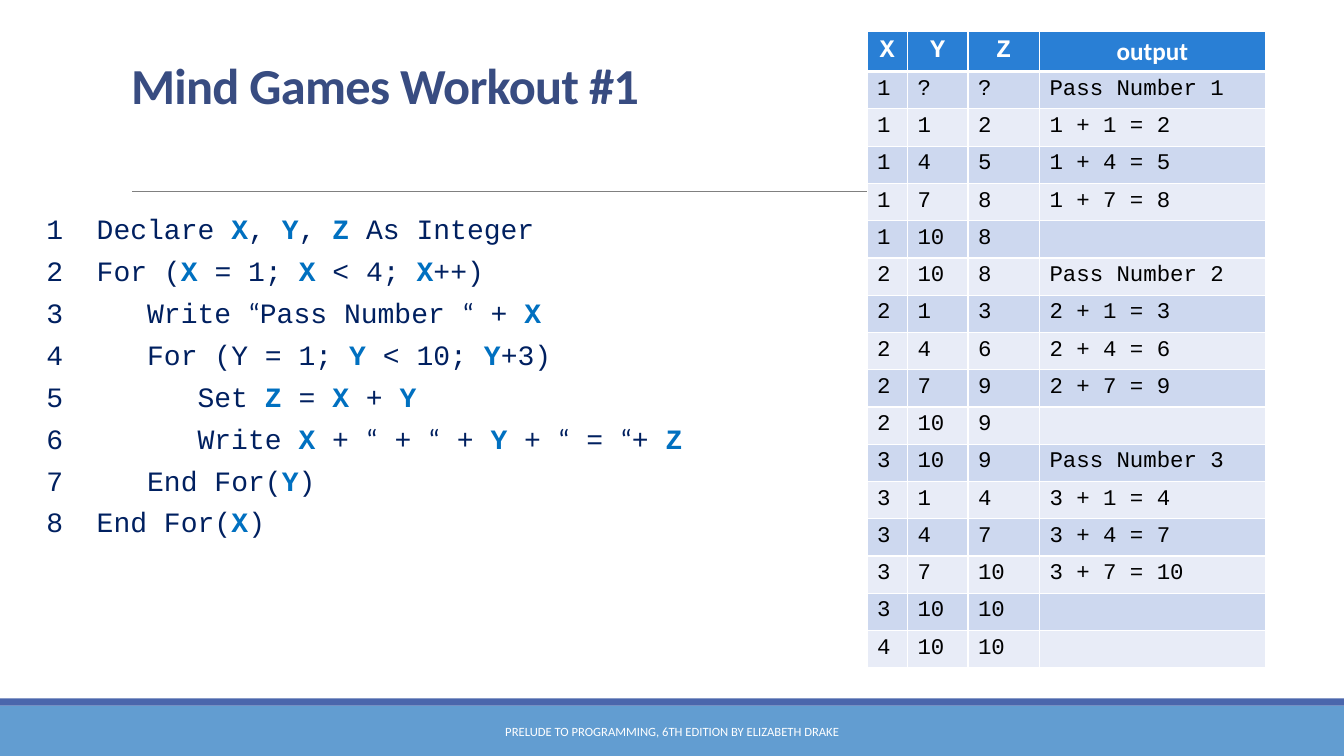
from dataclasses import dataclass
from itertools import groupby
from typing import Iterator, NamedTuple

from lxml.etree import SubElement
from pptx import Presentation
from pptx.dml.color import RGBColor as RGB
from pptx.enum.shapes import MSO_CONNECTOR as CONN, MSO_SHAPE as SHAPE
from pptx.enum.text import MSO_ANCHOR as ANCHOR, PP_ALIGN as ALIGN
from pptx.oxml.ns import qn
from pptx.util import Inches, Pt


@dataclass(frozen=True)
class Theme:
    """Colours, fonts and type sizes of the slide."""
    white: RGB = RGB(0xFF, 0xFF, 0xFF)
    black: RGB = RGB(0, 0, 0)
    footer: RGB = RGB(0x62, 0x9D, 0xD1)
    stripe: RGB = RGB(0x4A, 0x66, 0xAC)
    rule: RGB = RGB(0x80, 0x80, 0x80)
    title: RGB = RGB(0x38, 0x4C, 0x81)
    code: RGB = RGB(0x00, 0x20, 0x60)
    variable: RGB = RGB(0x00, 0x70, 0xC0)
    header: RGB = RGB(0x29, 0x7F, 0xD5)
    bands: tuple = (RGB(0xCD, 0xD8, 0xEF), RGB(0xE8, 0xEC, 0xF7))
    sans: str = "Calibri"
    mono: str = "Courier New"
    title_size: Pt = Pt(36)
    code_size: Pt = Pt(20)
    header_size: Pt = Pt(18)
    cell_size: Pt = Pt(16)
    footer_size: Pt = Pt(9)


class Box(NamedTuple):
    """Left, top, width and height in inches."""
    left: float
    top: float
    width: float
    height: float

    def emu(self) -> list:
        """Give the four lengths to python-pptx."""
        return [Inches(v) for v in self]


class CodeLine(NamedTuple):
    """One line of pseudocode; variables stand between asterisks."""
    indent: int
    text: str


class TraceRow(NamedTuple):
    """Values of the variables and what is written."""
    x: str
    y: str
    z: str
    output: str


T = Theme()
CODE = [
    CodeLine(1, "Declare *X*, *Y*, *Z* As Integer"),
    CodeLine(1, "For (*X* = 1; *X* < 4; *X*++)"),
    CodeLine(2, "Write “Pass Number “ + *X*"),
    CodeLine(2, "For (Y = 1; *Y* < 10; *Y*+3)"),
    CodeLine(3, "Set *Z* = *X* + *Y*"),
    CodeLine(3, "Write *X* + “ + “ + *Y* + “ = “+ *Z*"),
    CodeLine(2, "End For(*Y*)"),
    CodeLine(1, "End For(*X*)"),
]
HEADINGS = TraceRow("X", "Y", "Z", "output")
COLUMNS = (0.4, 0.6, 0.71, 2.24)
ROW_HEIGHT = 0.37


def trace() -> Iterator[TraceRow]:
    """Run the nested loops and yield each row of the trace."""
    y = z = "?"
    for x in range(1, 4):
        yield TraceRow(str(x), str(y), str(z), f"Pass Number {x}")
        for y in range(1, 10, 3):
            z = x + y
            yield TraceRow(str(x), str(y), str(z), f"{x} + {y} = {z}")
        y = 10
        yield TraceRow(str(x), str(y), str(z), "")
    yield TraceRow("4", str(y), str(z), "")


def style(font, name: str, size: Pt, color: RGB, bold: bool = False) -> None:
    """Set the usual properties of a font."""
    font.name, font.size, font.bold = name, size, bold
    font.color.rgb = color


def add_band(s, box: Box, color: RGB) -> None:
    """Add a plain filled rectangle."""
    sp = s.shapes.add_shape(SHAPE.RECTANGLE, *box.emu())
    sp.shadow.inherit = False
    sp.fill.solid()
    sp.fill.fore_color.rgb = color
    sp.line.fill.background()


def add_rule(s, left: float, right: float, y: float) -> None:
    """Add the thin line under the title."""
    line = s.shapes.add_connector(
        CONN.STRAIGHT, Inches(left), Inches(y), Inches(right), Inches(y))
    line.line.color.rgb = T.rule
    line.line.width = Pt(0.5)
    SubElement(line._element.spPr, qn("a:effectLst"))


def set_title(s, box: Box, text: str) -> None:
    """Move, fill and format the title placeholder."""
    sp = s.shapes.title
    sp.left, sp.top, sp.width, sp.height = box.emu()
    tf = sp.text_frame
    tf.vertical_anchor = ANCHOR.BOTTOM
    p = tf.paragraphs[0]
    p.alignment, p.line_spacing = ALIGN.LEFT, 0.85
    style(p.font, T.sans, T.title_size, T.title, True)
    r = p.add_run()
    r.text = text
    r._r.get_or_add_rPr().set("spc", "-50")


def add_code(s, box: Box, lines: list) -> None:
    """Add numbered pseudocode with highlighted variables."""
    tf = s.shapes.add_textbox(*box.emu()).text_frame
    tf.word_wrap = True
    tf.margin_left = tf.margin_right = 0
    for number, line in enumerate(lines, 1):
        p = tf.paragraphs[0] if number == 1 else tf.add_paragraph()
        p.line_spacing = 1.1
        p.space_before, p.space_after = Pt(1.5), Pt(2)
        text = f"{number}" + "\t" * line.indent + line.text
        for i, part in enumerate(text.split("*")):
            variable = i % 2 == 1
            for quote, chars in groupby(part, lambda c: c == "“"):
                r = p.add_run()
                r.text = "".join(chars)
                style(r.font, T.sans if quote else T.mono, T.code_size,
                      T.variable if variable else T.code, variable)


def set_borders(cell, bottom: float) -> None:
    """Give a cell white borders, the bottom one of its own width."""
    tc_pr = cell._tc.get_or_add_tcPr()
    for side, width in (("L", 1), ("R", 1), ("T", 1), ("B", bottom)):
        ln = SubElement(tc_pr, qn(f"a:ln{side}"), w=str(Pt(width)))
        fill = SubElement(ln, qn("a:solidFill"))
        SubElement(fill, qn("a:srgbClr"), val=str(T.white))


def fill_cell(cell, text: str, fill: RGB, header: bool) -> None:
    """Write one cell of the trace table."""
    set_borders(cell, 3 if header else 1)
    cell.fill.solid()
    cell.fill.fore_color.rgb = fill
    p = cell.text_frame.paragraphs[0]
    p.text = text
    if header:
        p.alignment = ALIGN.CENTER
        name = T.sans if text == HEADINGS.output else T.mono
        style(p.font, name, T.header_size, T.white, True)
    else:
        style(p.font, T.mono, T.cell_size, T.black)
    if not text:
        end = SubElement(p._p, qn("a:endParaRPr"), sz=str(int(T.cell_size.pt * 100)))
        SubElement(end, qn("a:latin"), typeface=T.mono)


def add_trace_table(s, left: float, top: float, rows: list) -> None:
    """Add the table of variable values and output."""
    box = Box(left, top, sum(COLUMNS), ROW_HEIGHT * len(rows))
    table = s.shapes.add_table(len(rows), len(COLUMNS), *box.emu()).table
    for column, width in zip(table.columns, COLUMNS):
        column.width = Inches(width)
    for i, row in enumerate(rows):
        table.rows[i].height = Inches(ROW_HEIGHT)
        fill = T.bands[(i - 1) % 2] if i else T.header
        for j, text in enumerate(row):
            fill_cell(table.cell(i, j), text, fill, i == 0)


def add_footer(s, box: Box, text: str) -> None:
    """Add the centred footer text."""
    tf = s.shapes.add_textbox(*box.emu()).text_frame
    tf.word_wrap = True
    tf.vertical_anchor = ANCHOR.MIDDLE
    p = tf.paragraphs[0]
    p.text, p.alignment = text, ALIGN.CENTER
    style(p.font, T.sans, T.footer_size, T.white)


prs = Presentation()
prs.slide_width, prs.slide_height = Inches(13.33), Inches(7.5)
s = prs.slides.add_slide(prs.slide_layouts[5])
add_band(s, Box(0, 7, 13.33, 0.5), T.footer)
add_band(s, Box(0, 6.93, 13.33, 0.07), T.stripe)
add_rule(s, 1.31, 12.21, 1.9)
set_title(s, Box(1.2, 0.31, 8.67, 0.88), "Mind Games Workout #1")
add_code(s, Box(0.46, 2.02, 7.94, 4.4), CODE)
add_trace_table(s, 8.6, 0.31, [HEADINGS, *trace()])
add_footer(s, Box(4.03, 7.06, 5.27, 0.4),
           "PRELUDE TO PROGRAMMING, 6TH EDITION BY ELIZABETH DRAKE")
prs.save("out.pptx")
